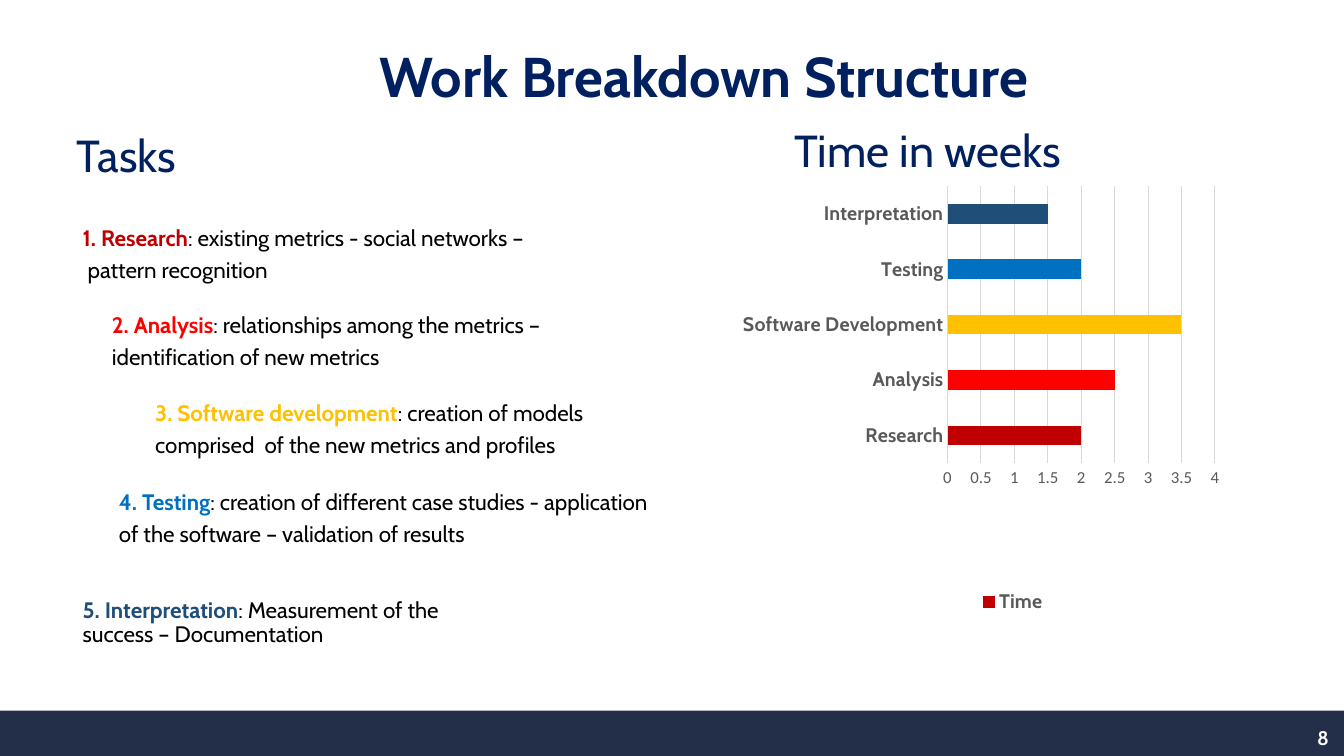
from lxml import etree
from pptx import Presentation
from pptx.chart.data import CategoryChartData
from pptx.dml.color import RGBColor
from pptx.enum import chart as ch, shapes, text
from pptx.oxml.ns import qn
from pptx.util import Inches, Pt

NAVY = RGBColor(0x00, 0x20, 0x60)
BAND = RGBColor(0x23, 0x2F, 0x48)
WHITE = RGBColor(0xFF, 0xFF, 0xFF)
BLACK = RGBColor(0x00, 0x00, 0x00)
GRAY = RGBColor(0x59, 0x59, 0x59)
GRID = RGBColor(0xD9, 0xD9, 0xD9)
CRIMSON = RGBColor(0xC0, 0x00, 0x00)
RED = RGBColor(0xFF, 0x00, 0x00)
GOLD = RGBColor(0xFF, 0xC0, 0x00)
BLUE = RGBColor(0x00, 0x70, 0xC0)
STEEL = RGBColor(0x1F, 0x4E, 0x79)

MIDDLE = text.MSO_ANCHOR.MIDDLE
BOTTOM = text.MSO_ANCHOR.BOTTOM

# Heading, lines of detail, colour, box, anchor
TASKS = [
    ("1. Research", [": existing metrics - social networks –", " pattern recognition"],
     CRIMSON, (0.8, 2.09, 6.16, 0.74), BOTTOM),
    ("2. Analysis", [": relationships among the metrics –", "identification of new metrics"],
     RED, (1.09, 3.17, 5.5, 0.45), MIDDLE),
    ("3. Software development",
     [": creation of models", "comprised  of the new metrics and profiles"],
     GOLD, (1.52, 3.81, 6.24, 0.92), MIDDLE),
    ("4. Testing",
     [": creation of different case studies - application",
      "of the software – validation of results"],
     BLUE, (1.16, 4.81, 5.83, 0.68), MIDDLE),
    ("5. Interpretation", [": Measurement of the success – Documentation"],
     STEEL, (0.8, 5.72, 4.23, 0.92), MIDDLE),
]
WEEKS = [
    ("Research", 2, CRIMSON),
    ("Analysis", 2.5, RED),
    ("Software Development", 3.5, GOLD),
    ("Testing", 2, BLUE),
    ("Interpretation", 1.5, STEEL),
]


def box(*sides):
    return [Inches(side) for side in sides]


def style(font, size, color, bold=False, name="Cabin"):
    font.name, font.size, font.bold = name, Pt(size), bold
    font.color.rgb = color


def add_title(slide, words):
    title = slide.shapes.title
    title.left, title.top, title.width, title.height = box(1.16, 0.2, 11.64, 0.94)
    title.text_frame.text = words
    title.text_frame.vertical_anchor = BOTTOM
    para = title.text_frame.paragraphs[0]
    para.alignment = text.PP_ALIGN.CENTER
    para.line_spacing = 0.9
    style(para.font, 40, NAVY, True)


def add_label(slide, words, place, size, color, bold=False):
    frame = slide.shapes.add_textbox(*box(*place)).text_frame
    frame.word_wrap = True
    frame.text = words
    style(frame.paragraphs[0].font, size, color, bold)
    return frame


def add_task(slide, head, lines, color, place, anchor):
    frame = slide.shapes.add_textbox(*box(*place)).text_frame
    frame.word_wrap = True
    frame.vertical_anchor = anchor
    frame.margin_left = frame.margin_right = Inches(0.02)
    frame.margin_top = frame.margin_bottom = Inches(0.02)
    for i, line in enumerate(lines):
        para = frame.add_paragraph() if i else frame.paragraphs[0]
        para.line_spacing = 0.9
        para.space_after = Pt(5.6)
        style(para.font, 16, BLACK)
        if i == 0:
            run = para.add_run()
            run.text = head
            style(run.font, 16, color, True)
        para.add_run().text = line


def set_layout(part, after, x, y, w, h, inner=False):
    """Fix the place of a chart part as shares of the chart area."""
    for old in part.findall(qn("c:layout")):
        part.remove(old)
    layout = etree.Element(qn("c:layout"))
    manual = etree.SubElement(layout, qn("c:manualLayout"))
    pairs = [("layoutTarget", "inner")] if inner else []
    pairs += [("xMode", "edge"), ("yMode", "edge"), ("x", x), ("y", y), ("w", w), ("h", h)]
    for tag, val in pairs:
        etree.SubElement(manual, qn("c:" + tag)).set("val", str(val))
    if after is None:
        part.insert(0, layout)
    else:
        part.find(qn(after)).addnext(layout)


def add_bars(slide):
    data = CategoryChartData()
    data.categories = [name for name, _, _ in WEEKS]
    data.add_series("Time", [weeks for _, weeks, _ in WEEKS])
    chart = slide.shapes.add_chart(
        ch.XL_CHART_TYPE.BAR_CLUSTERED, *box(6.81, 1.84, 6.47, 4.75), data).chart
    chart.has_title = False
    style(chart.font, 10, BLACK, name="Calibri")

    plot = chart.plots[0]
    plot.vary_by_categories = False
    plot.gap_width = 182
    bars = plot.series[0]
    bars.format.fill.solid()
    bars.format.fill.fore_color.rgb = CRIMSON
    for i, (_, _, color) in enumerate(WEEKS[1:], 1):
        fill = bars.points[i].format.fill
        fill.solid()
        fill.fore_color.rgb = color

    names, scale = chart.category_axis, chart.value_axis
    for axis in (names, scale):
        axis.major_tick_mark = axis.minor_tick_mark = ch.XL_TICK_MARK.NONE
    style(names.tick_labels.font, 14, GRAY, True)
    style(scale.tick_labels.font, 12, GRAY, name="Calibri")
    scale.minimum_scale, scale.maximum_scale, scale.major_unit = 0, 4, 0.5
    scale.format.line.fill.background()
    for line in (names.format.line, scale.major_gridlines.format.line):
        line.color.rgb = GRID
        line.width = Pt(0.75)

    chart.has_legend = True
    legend = chart.legend
    legend.position = ch.XL_LEGEND_POSITION.BOTTOM
    legend.include_in_layout = False
    style(legend.font, 14, GRAY, True)
    root = chart.element
    set_layout(root.find(".//" + qn("c:plotArea")), None, 0.4, 0, 0.41, 0.58, True)
    set_layout(root.find(".//" + qn("c:legend")), "c:legendPos", 0.44, 0.83, 0.12, 0.08)


def add_footer(slide, number):
    band = slide.shapes.add_shape(
        shapes.MSO_SHAPE.RECTANGLE, *box(0, 7.05, 13.33, 0.45))
    band.shadow.inherit = False
    band.fill.solid()
    band.fill.fore_color.rgb = BAND
    band.line.fill.background()
    frame = add_label(slide, number, (10.28, 7.12, 3, 0.4), 14, WHITE, True)
    frame.vertical_anchor = MIDDLE
    frame.paragraphs[0].alignment = text.PP_ALIGN.RIGHT


def main():
    deck = Presentation()
    deck.slide_width, deck.slide_height = box(13.33, 7.5)
    slide = deck.slides.add_slide(deck.slide_layouts.get_by_name("Title Only"))
    add_title(slide, "Work Breakdown Structure")
    for task in TASKS:
        add_task(slide, *task)
    add_bars(slide)
    add_label(slide, "Tasks", (0.66, 1.22, 2.98, 0.64), 32, NAVY)
    add_label(slide, "Time in weeks", (7.78, 1.17, 2.98, 0.64), 32, NAVY)
    add_footer(slide, "8")
    deck.save("out.pptx")


if __name__ == "__main__":
    main()
